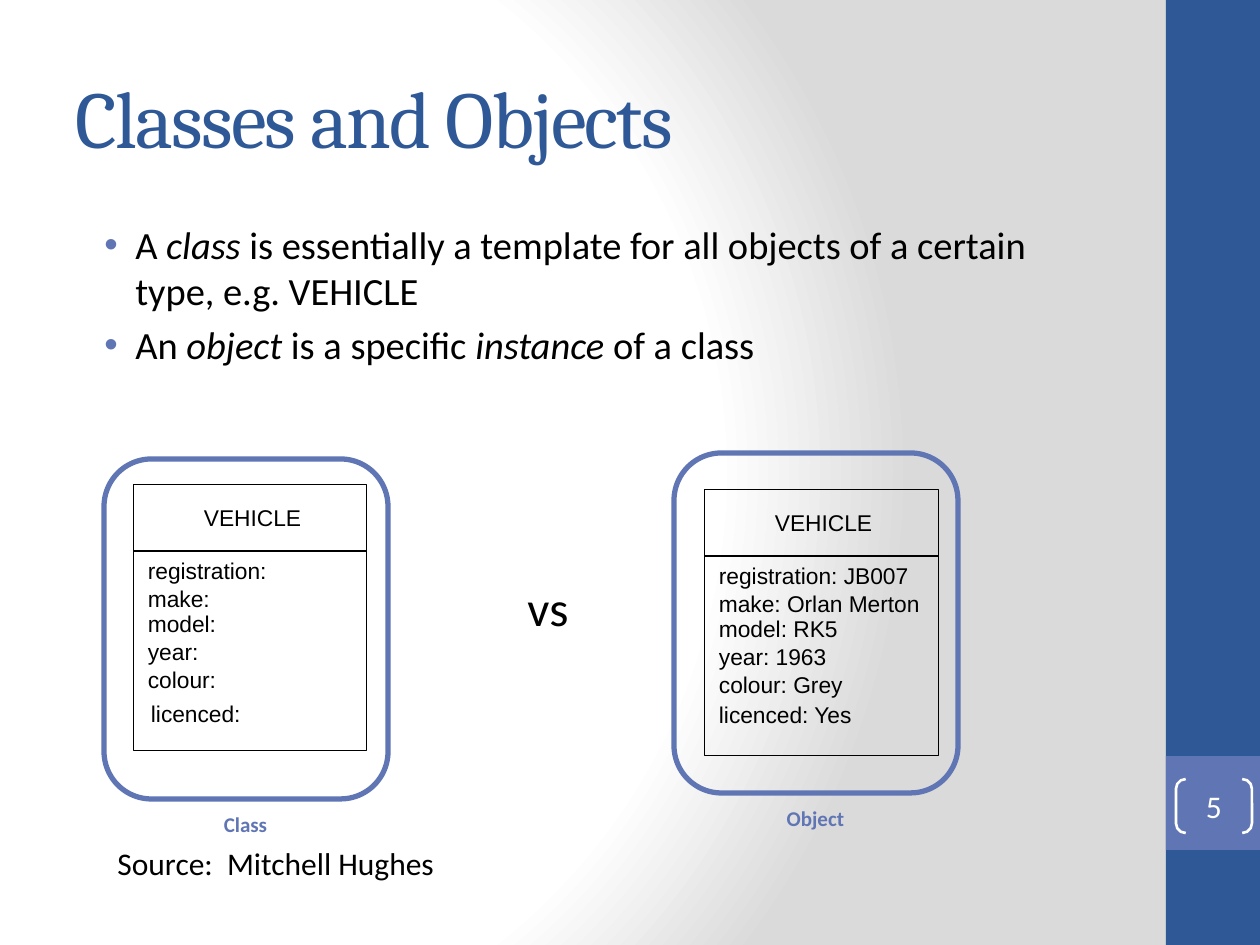
from dataclasses import dataclass

from lxml.etree import SubElement
from pptx import Presentation
from pptx.dml.color import RGBColor
from pptx.enum.shapes import MSO_SHAPE
from pptx.enum.text import MSO_ANCHOR, MSO_AUTO_SIZE, PP_ALIGN
from pptx.oxml import parse_xml
from pptx.oxml.ns import nsdecls, qn
from pptx.util import Emu, Pt

SCALE = 914400 / 126
NAVY, PERIWINKLE, BLACK, WHITE = "2F5897", "6076B4", "000000", "FFFFFF"
ROW_OFFSETS = (73, 101, 126, 154, 182)
HEADING_WIDTH, ROW_WIDTH = 106, 216


@dataclass(frozen=True)
class Card:
    """A framed diagram: its caption, corner points and rows."""
    caption: str
    frame: tuple[int, int]
    table: tuple[int, int]
    rows: tuple[str, ...]
    last_row: tuple[int, int]


CARDS = (
    Card("Class", (104, 459), (133, 484),
         ("registration:", "make:", "model:", "year:", "colour:", "licenced:"),
         (151, 700)),
    Card("Object", (674, 453), (704, 489),
         ("registration: JB007", "make: Orlan Merton", "model: RK5",
          "year: 1963", "colour: Grey", "licenced: Yes"),
         (719, 701)),
)


def px(value: float) -> Emu:
    """Turn pixels into EMU."""
    return Emu(round(value * SCALE))


def color(value: str) -> RGBColor:
    """Turn a hex string into a colour."""
    return RGBColor.from_string(value)


def add_box(page, kind, left, top, width, height, *, fill=None, line=None,
            weight=1.0):
    """Add a preset shape with an optional fill and outline."""
    box = page.shapes.add_shape(kind, px(left), px(top), px(width), px(height))
    box.shadow.inherit = False
    if fill:
        box.fill.solid()
        box.fill.fore_color.rgb = color(fill)
    else:
        box.fill.background()
    if line:
        box.line.color.rgb = color(line)
        box.line.width = Pt(weight)
    else:
        box.line.fill.background()
    return box


def add_span(para, text, *, size, font="Calibri", ink=BLACK, bold=False,
             italic=False, spacing=0):
    """Add a formatted run; spacing is in points."""
    span = para.add_run()
    span.text = text
    span.font.size = Pt(size)
    span.font.name = font
    span.font.color.rgb = color(ink)
    span.font.bold = bold
    span.font.italic = italic
    if spacing:
        span.font._element.set("spc", str(spacing * 100))


def add_text(page, text, left, top, width, height, *, align=PP_ALIGN.LEFT,
             anchor=MSO_ANCHOR.TOP, wrap=True, inset=True, grow=False, **style):
    """Add a text box with one paragraph and return that paragraph."""
    box = page.shapes.add_textbox(px(left), px(top), px(width), px(height))
    frame = box.text_frame
    frame.word_wrap = wrap
    frame.vertical_anchor = anchor
    if grow:
        frame.auto_size = MSO_AUTO_SIZE.SHAPE_TO_FIT_TEXT
    if not inset:
        clear_insets(frame)
    para = frame.paragraphs[0]
    para.alignment = align
    if text:
        add_span(para, text, **style)
    return para


def clear_insets(frame) -> None:
    """Remove the inner margins of a text frame."""
    frame.margin_left = frame.margin_right = 0
    frame.margin_top = frame.margin_bottom = 0


def add_background(page) -> None:
    """Fill the page with a white to grey radial gradient."""
    page.background.fill.solid()
    holder = page.element.find(".//" + qn("p:bgPr"))
    stops = "".join(
        f'<a:gs pos="{place * 1000}"><a:srgbClr val="{ink}"/></a:gs>'
        for place, ink in ((0, WHITE), (75, WHITE), (100, "DADADA")))
    gradient = parse_xml(
        f'<a:gradFill {nsdecls("a")} rotWithShape="1"><a:gsLst>{stops}</a:gsLst>'
        '<a:path path="circle"><a:fillToRect l="20000" t="50000" r="100000" '
        'b="50000"/></a:path></a:gradFill>')
    holder.replace(holder.find(qn("a:solidFill")), gradient)


def add_bullets(page) -> None:
    """Add the two definitions as a bulleted list."""
    items = (
        (("A ", False), ("class ", True),
         ("is essentially a template for all objects of a certain type, "
          "e.g. VEHICLE", False)),
        (("An ", False), ("object", True), (" is a specific ", False),
         ("instance", True), (" of a class", False)),
    )
    first = add_text(page, "", 76, 215, 971, 340)
    frame = first._parent
    for index, spans in enumerate(items):
        para = frame.add_paragraph() if index else first
        para.space_before = Pt(4.4)
        properties = para._p.get_or_add_pPr()
        properties.set("marL", str(px(47)))
        properties.set("indent", str(px(-31)))
        bullet_color = SubElement(properties, qn("a:buClr"))
        SubElement(bullet_color, qn("a:srgbClr"), val=PERIWINKLE)
        SubElement(properties, qn("a:buFont"), typeface="Arial")
        SubElement(properties, qn("a:buChar"), char="•")
        for text, italic in spans:
            add_span(para, text, size=22, italic=italic)


def add_card(page, card: Card) -> None:
    """Draw one framed table with its rows and caption."""
    left, top = card.frame
    add_box(page, MSO_SHAPE.ROUNDED_RECTANGLE, left, top, 284, 340,
            line=PERIWINKLE, weight=3)
    add_text(page, card.caption, left + 84, top + 346, 115, 38, grow=True,
             align=PP_ALIGN.CENTER, size=12, ink=PERIWINKLE, bold=True)
    left, top = card.table
    for offset, height in ((0, 67), (67, 200)):
        add_box(page, MSO_SHAPE.RECTANGLE, left, top + offset, 234, height,
                line=BLACK, weight=0.5)
    points = [(left + 15, top + offset) for offset in ROW_OFFSETS]
    labels = [("VEHICLE", (left + 71, top + 20), HEADING_WIDTH)]
    labels += [(text, point, ROW_WIDTH)
               for text, point in zip(card.rows, [*points, card.last_row])]
    for text, (x, y), width in labels:
        add_text(page, text, x, y, width, 30, inset=False, size=13,
                 font="Arial")


def add_page_number(page) -> None:
    """Draw the bracketed page number."""
    box = add_box(page, MSO_SHAPE.DOUBLE_BRACKET, 1176, 779, 76, 54,
                  line=WHITE, weight=1.5)
    box.adjustments[0] = 0.18
    frame = box.text_frame
    clear_insets(frame)
    frame.vertical_anchor = MSO_ANCHOR.MIDDLE
    para = frame.paragraphs[0]
    para.alignment = PP_ALIGN.CENTER
    add_span(para, "5", size=18, ink=WHITE)


def main() -> None:
    """Build and save the slide."""
    deck = Presentation()
    deck.slide_width, deck.slide_height = px(1260), px(945)
    page = deck.slides.add_slide(deck.slide_layouts[6])
    add_background(page)
    add_box(page, MSO_SHAPE.RECTANGLE, 1166, 0, 94, 945, fill=NAVY)
    add_box(page, MSO_SHAPE.RECTANGLE, 1166, 756, 94, 94, fill=PERIWINKLE)
    add_text(page, "Classes and Objects", 63, 37, 1050, 158, size=46,
             anchor=MSO_ANCHOR.MIDDLE, font="Cambria", ink=NAVY, spacing=-1)
    add_bullets(page)
    versus = add_text(page, "vs", 515, 578, 69, 67, size=28)
    versus.line_spacing = 0.9
    versus.space_before = Pt(10)
    add_text(page, "Source:  Mitchell Hughes", 105, 838, 346, 50, wrap=False,
             grow=True, size=18)
    for card in CARDS:
        add_card(page, card)
    add_page_number(page)
    deck.save("out.pptx")


main()
